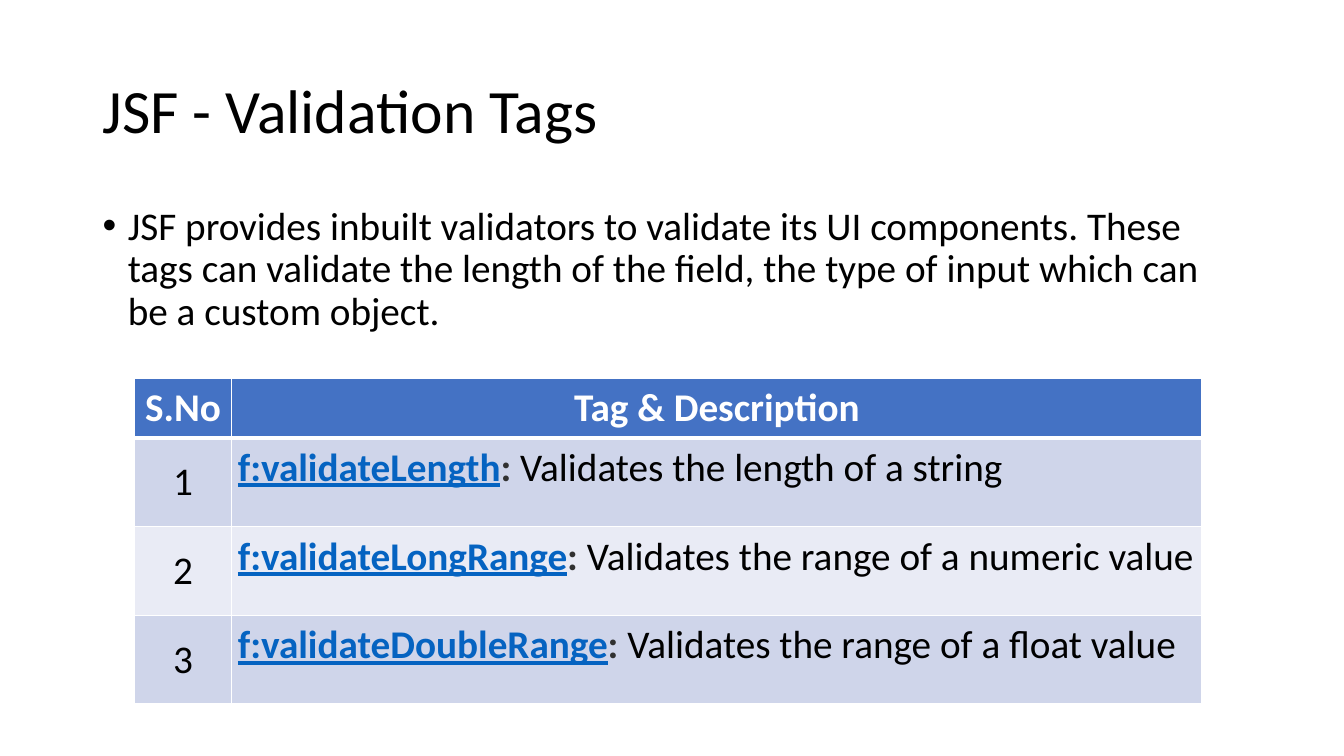
"""Build the slide on JSF validation tags."""
from lxml.etree import SubElement
from pptx import Presentation
from pptx.dml.color import RGBColor
from pptx.enum.text import MSO_ANCHOR, MSO_AUTO_SIZE, PP_ALIGN
from pptx.oxml.ns import qn
from pptx.util import Inches, Pt

TITLE = "JSF - Validation Tags"
INTRO = ("JSF provides inbuilt validators to validate its UI components. "
         "These tags can validate the length of the field, the type of input "
         "which can be a custom object.")
HEADINGS = ["S.No", "Tag & Description"]
TAGS = [
    ("f:validateLength", "Validates the length of a string"),
    ("f:validateLongRange", "Validates the range of a numeric value"),
    ("f:validateDoubleRange", "Validates the range of a float value"),
]
COLORS = {
    "text": "000000", "white": "FFFFFF", "header": "4472C4",
    "odd": "CFD5EA", "even": "E9EBF5", "tag": "0563C1", "colon": "313131",
}
FONT = "Calibri"
COLUMN_WIDTHS = [0.97, 9.62]
HEADER_HEIGHT, TAG_HEIGHT = 0.57, 0.88
CELL_MARGIN = 0.06


def color(name):
    return RGBColor.from_string(COLORS[name])


def add_run(paragraph, text, color_name="text", size=28, bold=False, underline=False):
    run = paragraph.add_run()
    run.text = text
    font = run.font
    font.name, font.size = FONT, Pt(size)
    font.bold, font.underline = bold, underline
    font.color.rgb = color(color_name)


def prepare_frame(frame, anchor):
    frame.word_wrap = True
    frame.auto_size = MSO_AUTO_SIZE.NONE
    frame.vertical_anchor = anchor
    return frame.paragraphs[0]


def add_title(slide):
    title = slide.shapes.title
    title.left, title.top = Inches(0.92), Inches(0.4)
    title.width, title.height = Inches(11.5), Inches(1.45)
    heading = prepare_frame(title.text_frame, MSO_ANCHOR.MIDDLE)
    heading.alignment = PP_ALIGN.LEFT
    heading.line_spacing = 0.9
    add_run(heading, TITLE, size=44)


def add_intro(slide):
    intro = slide.shapes.add_textbox(Inches(0.92), Inches(2), Inches(11.5), Inches(1.6))
    bullet = prepare_frame(intro.text_frame, MSO_ANCHOR.TOP)
    bullet.line_spacing = 0.9
    bullet.space_before = Pt(10)
    add_run(bullet, INTRO)
    properties = bullet._p.get_or_add_pPr()
    properties.set("marL", str(Inches(0.25)))
    properties.set("indent", str(Inches(-0.25)))
    SubElement(properties, qn("a:buFont"), typeface="Arial")
    SubElement(properties, qn("a:buChar"), char="•")


def format_cell(cell, fill, top=1, bottom=1):
    cell.margin_left = cell.margin_right = Inches(CELL_MARGIN)
    cell.margin_top = cell.margin_bottom = Inches(CELL_MARGIN)
    properties = cell._tc.get_or_add_tcPr()
    for side, width in {"L": 1, "R": 1, "T": top, "B": bottom}.items():
        line = SubElement(properties, qn(f"a:ln{side}"), w=str(Pt(width)))
        SubElement(SubElement(line, qn("a:solidFill")), qn("a:srgbClr"), val=COLORS["white"])
    cell.fill.solid()
    cell.fill.fore_color.rgb = color(fill)
    return cell.text_frame.paragraphs[0]


def add_tag_table(slide):
    heights = [HEADER_HEIGHT] + [TAG_HEIGHT] * len(TAGS)
    table = slide.shapes.add_table(
        len(heights), len(COLUMN_WIDTHS), Inches(1.33), Inches(3.75),
        Inches(sum(COLUMN_WIDTHS)), Inches(sum(heights))).table
    for column, width in zip(table.columns, COLUMN_WIDTHS):
        column.width = Inches(width)
    for row, height in zip(table.rows, heights):
        row.height = Inches(height)

    for index, heading in enumerate(HEADINGS):
        label = format_cell(table.cell(0, index), "header", bottom=3)
        label.alignment = PP_ALIGN.CENTER
        add_run(label, heading, "white", bold=True)

    for number, (tag, description) in enumerate(TAGS, 1):
        fill = "odd" if number % 2 else "even"
        top = 3 if number == 1 else 1
        number_cell = table.cell(number, 0)
        number_cell.vertical_anchor = MSO_ANCHOR.MIDDLE
        label = format_cell(number_cell, fill, top)
        label.alignment = PP_ALIGN.CENTER
        add_run(label, str(number))
        entry = format_cell(table.cell(number, 1), fill, top)
        add_run(entry, tag, "tag", bold=True, underline=True)
        add_run(entry, ": ", "colon", bold=True)
        add_run(entry, description)


def main():
    deck = Presentation()
    deck.slide_width, deck.slide_height = Inches(13.33), Inches(7.5)
    slide = deck.slides.add_slide(deck.slide_layouts[5])
    add_title(slide)
    add_intro(slide)
    add_tag_table(slide)
    deck.save("out.pptx")


if __name__ == "__main__":
    main()
